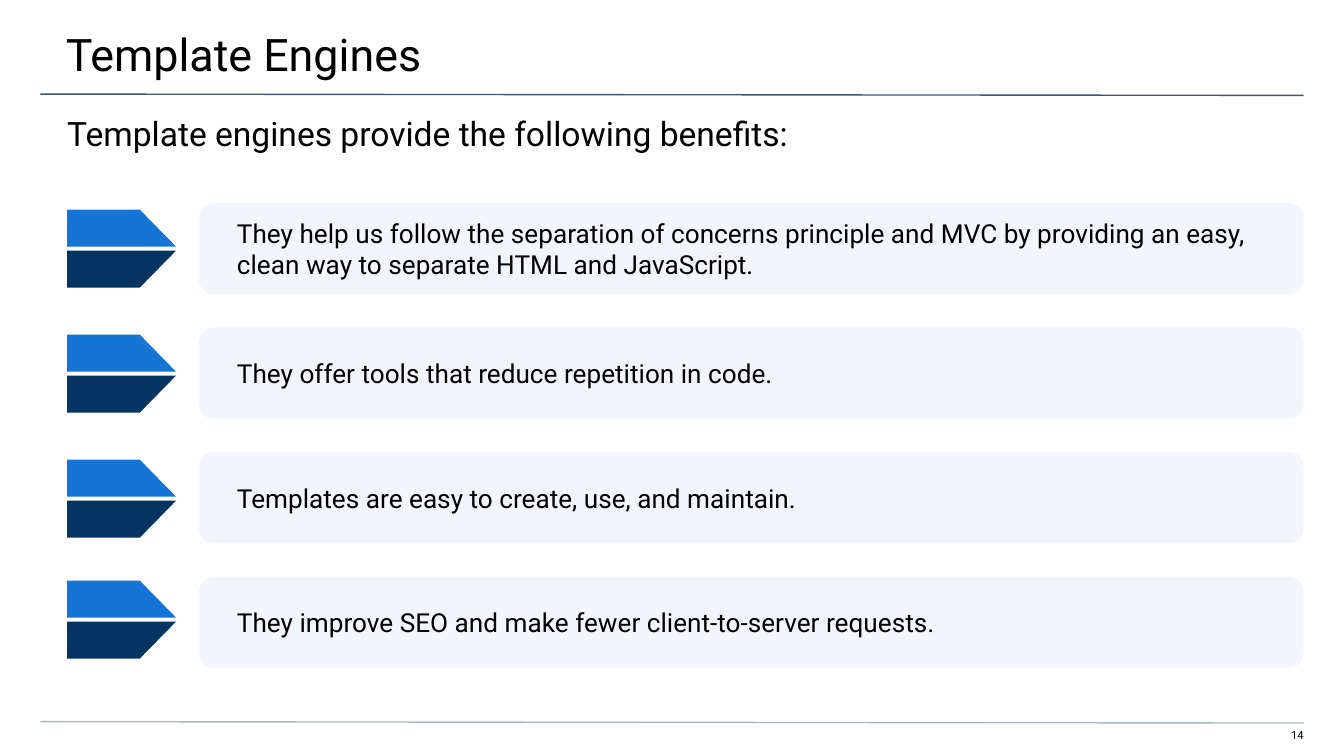
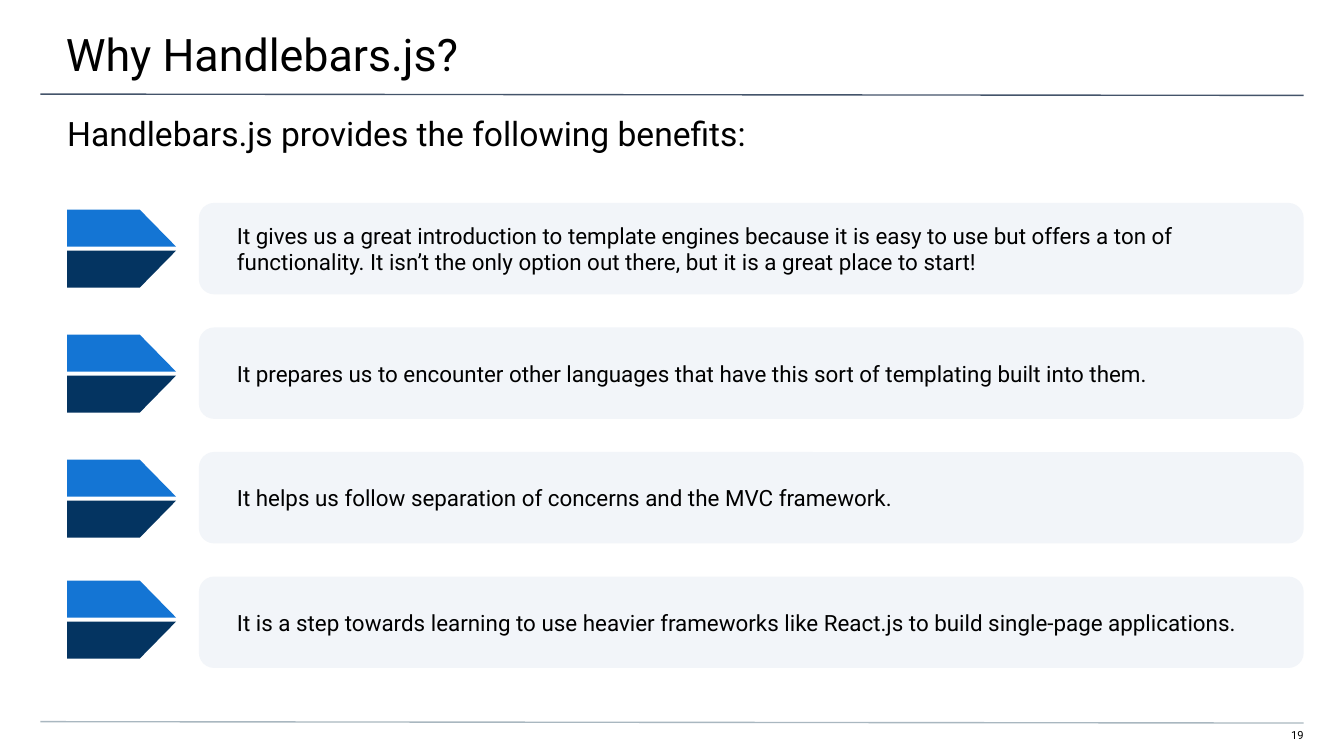
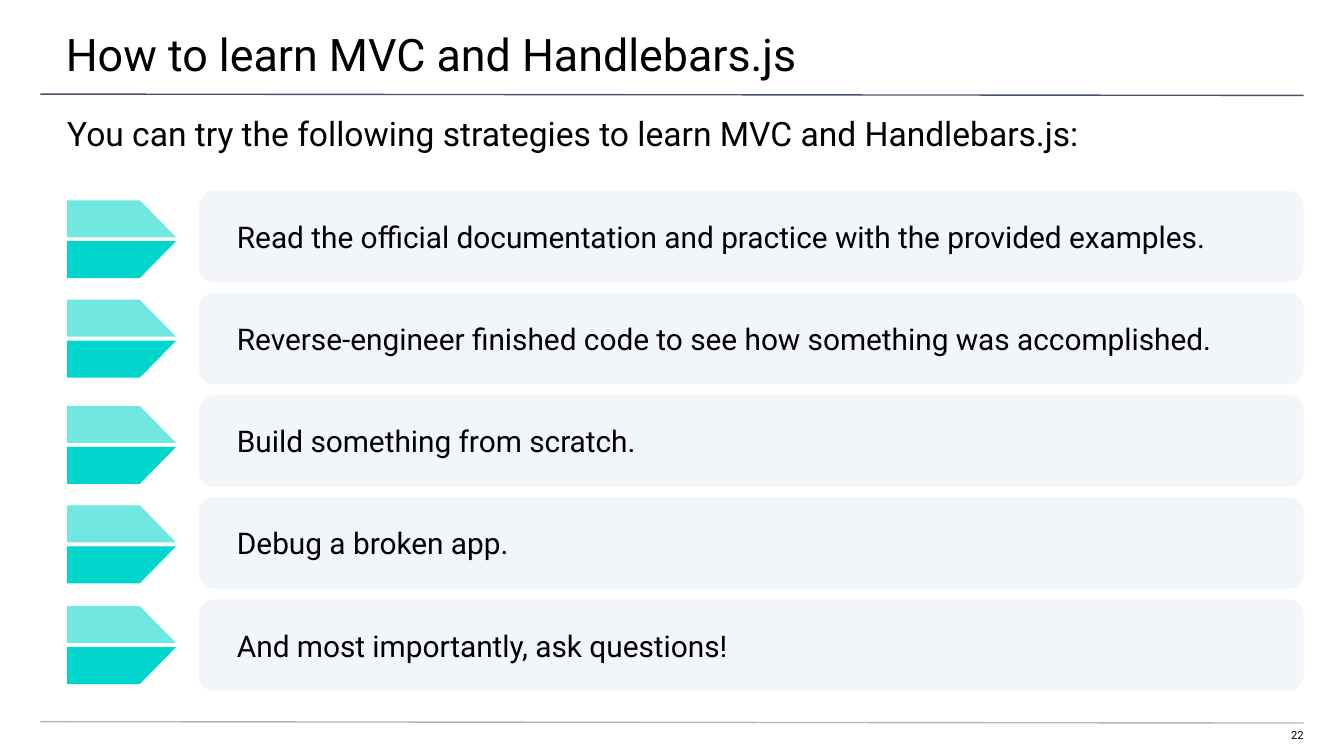
from dataclasses import dataclass

from lxml import etree
from pptx import Presentation
from pptx.dml.color import RGBColor
from pptx.enum.shapes import MSO_CONNECTOR as Connector, MSO_SHAPE as Shape
from pptx.enum.text import MSO_ANCHOR as Anchor, PP_ALIGN as Align
from pptx.oxml.ns import qn
from pptx.slide import Slide
from pptx.text.text import TextFrame
from pptx.util import Inches, Pt


# Theme: colours and type sizes
@dataclass(frozen=True)
class Theme:
    font: str = "Roboto"
    text: str = "000000"
    card: str = "F2F5F9"
    header_rule: str = "44546A"
    footer_rule: str = "A9B7C0"
    blue: str = "1475D4"
    navy: str = "043461"
    teal: str = "00D6CB"
    title_size: int = 24
    lead_size: int = 18
    number_size: int = 6
    rule_width: float = 0.75


THEME = Theme()

CARD_LEFT, CARD_WIDTH, CARD_HEIGHT = 1.48, 8.22, 0.68
ARROW_LEFT, ARROW_SHOULDER, ARROW_TIP = 0.5, 1.04, 1.31
ARROW_HEIGHT, ARROW_GAP = 0.58, 0.03
ARROW_HALF = (ARROW_HEIGHT - ARROW_GAP) / 2


@dataclass(frozen=True)
class ArrowStyle:
    upper: str
    lower: str
    upper_opacity: int = 100


@dataclass(frozen=True)
class CardColumn:
    first_top: float
    last_top: float
    arrow_tops: tuple[float, ...]
    arrows: ArrowStyle


@dataclass(frozen=True)
class ListSlide:
    number: int
    title: str
    lead: str
    column: CardColumn
    size: int
    points: tuple[str, ...]


BENEFITS = CardColumn(1.51, 4.29, (1.56, 2.49, 3.42, 4.32),
                      ArrowStyle(THEME.blue, THEME.navy))
STRATEGIES = CardColumn(1.42, 4.46, (1.49, 2.23, 3.02, 3.76, 4.51),
                        ArrowStyle(THEME.teal, THEME.teal, 56))

# Content
SLIDES = (
    ListSlide(
        14, "Template Engines",
        "Template engines provide the following benefits:", BENEFITS, 14,
        ("They help us follow the separation of concerns principle and MVC "
         "by providing an easy, clean way to separate HTML and JavaScript.",
         "They offer tools that reduce repetition in code.",
         "Templates are easy to create, use, and maintain.",
         "They improve SEO and make fewer client-to-server requests.")),
    ListSlide(
        19, "Why Handlebars.js?",
        "Handlebars.js provides the following benefits:", BENEFITS, 12,
        ("It gives us a great introduction to template engines because it is "
         "easy to use but offers a ton of functionality. It isn’t the only "
         "option out there, but it is a great place to start!",
         "It prepares us to encounter other languages that have this sort of "
         "templating built into them.",
         "It helps us follow separation of concerns and the MVC framework.",
         "It is a step towards learning to use heavier frameworks like "
         "React.js to build single-page applications.")),
    ListSlide(
        22, "How to learn MVC and Handlebars.js",
        "You can try the following strategies to learn MVC and Handlebars.js:",
        STRATEGIES, 16,
        ("Read the official documentation and practice with the provided "
         "examples.",
         "Reverse-engineer finished code to see how something was "
         "accomplished.",
         "Build something from scratch.",
         "Debug a broken app.",
         "And most importantly, ask questions!")),
)


# Drawing helpers
def write(frame: TextFrame, text: str, *, size: float,
          insets: tuple[float, float, float, float],
          align: Align = Align.LEFT, anchor: Anchor = Anchor.TOP) -> None:
    frame.word_wrap = True
    frame.vertical_anchor = anchor
    (frame.margin_left, frame.margin_top,
     frame.margin_right, frame.margin_bottom) = map(Inches, insets)
    paragraph = frame.paragraphs[0]
    paragraph.alignment = align
    run = paragraph.add_run()
    run.text = text
    run.font.name = THEME.font
    run.font.size = Pt(size)
    run.font.color.rgb = RGBColor.from_string(THEME.text)


def add_label(slide: Slide, text: str,
              box: tuple[float, float, float, float], **text_format) -> None:
    label = slide.shapes.add_textbox(*map(Inches, box))
    write(label.text_frame, text, **text_format)


def paint(shape, color: str, opacity: int = 100) -> None:
    shape.shadow.inherit = False
    shape.line.fill.background()
    shape.fill.solid()
    shape.fill.fore_color.rgb = RGBColor.from_string(color)
    if opacity < 100:
        tint = shape.fill._xPr.find(f"{qn('a:solidFill')}/{qn('a:srgbClr')}")
        etree.SubElement(tint, qn("a:alpha"), val=str(opacity * 1000))


def add_rule(slide: Slide, top: float, color: str) -> None:
    rule = slide.shapes.add_connector(
        Connector.STRAIGHT, Inches(0.3), Inches(top),
        Inches(9.7), Inches(top + 0.01))
    rule.line.color.rgb = RGBColor.from_string(color)
    rule.line.width = Pt(THEME.rule_width)
    etree.SubElement(rule._element.spPr, qn("a:effectLst"))


def add_half(slide: Slide, base: float, edge: float, color: str,
             opacity: int = 100) -> None:
    """Draw half an arrow; its tip lies on base, its short side on edge."""
    corners = [(Inches(x), Inches(y)) for x, y in (
        (ARROW_LEFT, edge), (ARROW_LEFT, base),
        (ARROW_TIP, base), (ARROW_SHOULDER, edge))]
    outline = slide.shapes.build_freeform(*corners[0], scale=1.0)
    outline.add_line_segments(corners[1:], close=True)
    paint(outline.convert_to_shape(), color, opacity)


def add_arrow(slide: Slide, top: float, style: ArrowStyle) -> None:
    bottom = top + ARROW_HEIGHT
    add_half(slide, top + ARROW_HALF, top, style.upper, style.upper_opacity)
    add_half(slide, bottom - ARROW_HALF, bottom, style.lower)


def add_card(slide: Slide, top: float, text: str, size: int) -> None:
    card = slide.shapes.add_shape(
        Shape.ROUNDED_RECTANGLE, Inches(CARD_LEFT), Inches(top),
        Inches(CARD_WIDTH), Inches(CARD_HEIGHT))
    paint(card, THEME.card)
    write(card.text_frame, text, size=size, insets=(0.25, 0.1, 0.1, 0.1),
          anchor=Anchor.MIDDLE)


# Slide parts
def add_frame(slide: Slide, content: ListSlide) -> None:
    add_label(slide, str(content.number), (9.41, 5.42, 0.29, 0.12),
              size=THEME.number_size, insets=(0, 0, 0, 0.1),
              align=Align.RIGHT)
    add_rule(slide, 0.7, THEME.header_rule)
    add_rule(slide, 5.37, THEME.footer_rule)
    add_label(slide, content.lead, (0, 0.74, 10, 0.4),
              size=THEME.lead_size, insets=(0.5, 0.1, 0.5, 0))
    add_label(slide, content.title, (-0.01, 0, 10.03, 0.58),
              size=THEME.title_size, insets=(0.5, 0.2, 0.3, 0.1))


def add_points(slide: Slide, content: ListSlide) -> None:
    column = content.column
    pitch = (column.last_top - column.first_top) / (len(content.points) - 1)
    for row, (text, arrow_top) in enumerate(
            zip(content.points, column.arrow_tops)):
        add_arrow(slide, arrow_top, column.arrows)
        add_card(slide, column.first_top + row * pitch, text, content.size)


def main() -> None:
    deck = Presentation()
    # Widescreen, 16 to 9
    deck.slide_width = Inches(10)
    deck.slide_height = Inches(10 * 9 / 16)
    blank = deck.slide_layouts[6]
    for content in SLIDES:
        slide = deck.slides.add_slide(blank)
        add_frame(slide, content)
        add_points(slide, content)
    deck.save("out.pptx")


if __name__ == "__main__":
    main()
